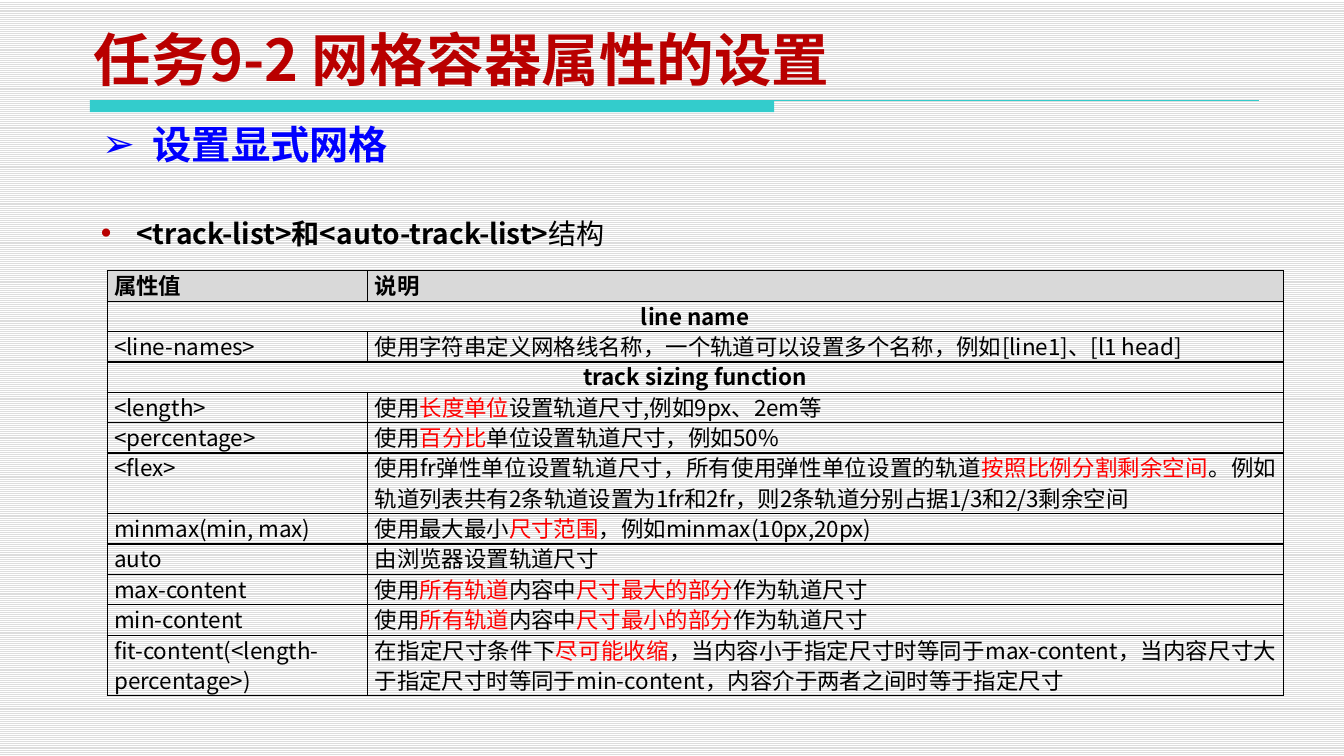
import pptx
import pptx.dml.color
import pptx.enum.dml
import pptx.enum.shapes
import pptx.enum.text
import pptx.oxml.ns
import pptx.util
from lxml import etree

Inches = pptx.util.Inches
Pt = pptx.util.Pt
ALIGN = pptx.enum.text.PP_ALIGN
ANCHOR = pptx.enum.text.MSO_ANCHOR

COLORS = {
    "title": "B90000", "rule": "33CCCC", "heading": "0000FF",
    "body": "000000", "key": "FF0000", "header": "D9D9D9",
    "stripe": "DDDDDD", "paper": "FFFFFF",
}
FONT = "Noto Sans CJK SC"
HEADING_FONT = "DejaVu Sans"
ROW_HEIGHT = 0.3
COLUMN_WIDTHS = (2.58, 9.06)

# Text between bars is highlighted; a row with one entry spans both columns.
PROPERTY_ROWS = [
    ("属性值", "说明"),
    ("line name",),
    ("<line-names>", "使用字符串定义网格线名称，一个轨道可以设置多个名称，例如[line1]、[l1 head]"),
    ("track sizing function",),
    ("<length>", "使用|长度单位|设置轨道尺寸,例如9px、2em等"),
    ("<percentage>", "使用|百分比|单位设置轨道尺寸，例如50%"),
    ("<flex>", "使用fr弹性单位设置轨道尺寸，所有使用弹性单位设置的轨道|按照比例分割剩余空间|"
               "。例如轨道列表共有2条轨道设置为1fr和2fr，则2条轨道分别占据1/3和2/3剩余空间"),
    ("minmax(min, max)", "使用最大最小|尺寸范围|，例如minmax(10px,20px)"),
    ("auto", "由浏览器设置轨道尺寸"),
    ("max-content", "使用|所有轨道|内容中|尺寸最大的部分|作为轨道尺寸"),
    ("min-content", "使用|所有轨道|内容中|尺寸最小的部分|作为轨道尺寸"),
    ("fit-content(<length-percentage>)",
     "在指定尺寸条件下|尽可能收缩|，当内容小于指定尺寸时等同于max-content，"
     "当内容尺寸大于指定尺寸时等同于min-content，内容介于两者之间时等于指定尺寸"),
]
TWO_LINE_ROWS = ("<flex>", "fit-content(<length-percentage>)")


def rgb(name):
    return pptx.dml.color.RGBColor.from_string(COLORS[name])


def add_xml(parent, tag, **attributes):
    return etree.SubElement(parent, pptx.oxml.ns.qn(tag), attributes)


def set_format(target, values):
    for name, value in values.items():
        setattr(target, name, value)


def add_run(paragraph, text, size, color, bold=False, font=FONT):
    run = paragraph.add_run()
    run.text = text
    set_format(run.font, {"size": Pt(size), "bold": bold, "name": font})
    run.font.color.rgb = rgb(color)
    add_xml(run.font._element, "a:ea", typeface=FONT)


def add_text_line(slide, left, top, width, height, anchor=ANCHOR.TOP):
    """Add a text box and return its only paragraph."""
    frame = slide.shapes.add_textbox(
        Inches(left), Inches(top), Inches(width), Inches(height)).text_frame
    set_format(frame, {
        "word_wrap": True, "vertical_anchor": anchor,
        "margin_left": Inches(0.11), "margin_right": Inches(0.11),
        "margin_top": Inches(0.05), "margin_bottom": Inches(0.05),
    })
    return frame.paragraphs[0]


def set_bullet(paragraph, symbol, indent, color):
    properties = paragraph._p.get_or_add_pPr()
    properties.set("marL", str(Inches(indent)))
    properties.set("indent", str(-Inches(indent)))
    add_xml(add_xml(properties, "a:buClr"), "a:srgbClr", val=COLORS[color])
    add_xml(properties, "a:buFont", typeface=HEADING_FONT)
    add_xml(properties, "a:buChar", char=symbol)


def add_title_rule(slide):
    left, top = Inches(0.89), Inches(0.99)
    bar = slide.shapes.add_shape(
        pptx.enum.shapes.MSO_SHAPE.RECTANGLE, left, top, Inches(6.77), Inches(0.12))
    bar.shadow.inherit = False
    bar.fill.solid()
    bar.fill.fore_color.rgb = rgb("rule")
    bar.line.fill.background()
    thin_line = slide.shapes.add_connector(
        pptx.enum.shapes.MSO_CONNECTOR.STRAIGHT, left, top, Inches(12.46), top)
    thin_line.line.color.rgb = rgb("rule")
    thin_line.line.width = Pt(0.75)
    add_xml(thin_line._element.spPr, "a:effectLst")


def add_borders(cell):
    properties = cell._tc.get_or_add_tcPr()
    for side in ("a:lnL", "a:lnR", "a:lnT", "a:lnB"):
        border = add_xml(properties, side, w=str(Pt(1)))
        add_xml(add_xml(border, "a:solidFill"), "a:srgbClr", val=COLORS["body"])


def fill_cell(cell, text, align, bold, header):
    set_format(cell, {
        "margin_left": Inches(0.07), "margin_right": Inches(0.07),
        "margin_top": 0, "margin_bottom": 0,
        "vertical_anchor": ANCHOR.MIDDLE if header else ANCHOR.TOP,
    })
    if header:
        cell.fill.solid()
        cell.fill.fore_color.rgb = rgb("header")
    paragraph = cell.text_frame.paragraphs[0]
    set_format(paragraph, {"alignment": align, "line_spacing": Inches(ROW_HEIGHT)})
    for index, part in enumerate(text.split("|")):
        add_run(paragraph, part, 16, "key" if index % 2 else "body", bold)


def add_property_table(slide):
    heights = [ROW_HEIGHT * (2 if row[0] in TWO_LINE_ROWS else 1) for row in PROPERTY_ROWS]
    table = slide.shapes.add_table(
        len(PROPERTY_ROWS), len(COLUMN_WIDTHS), Inches(1.06), Inches(2.68),
        Inches(sum(COLUMN_WIDTHS)), Inches(sum(heights))).table
    set_format(table, {"first_row": False, "horz_banding": False})
    for column, width in zip(table.columns, COLUMN_WIDTHS):
        column.width = Inches(width)
    for row, height in zip(table.rows, heights):
        row.height = Inches(height)
    for cell in table.iter_cells():
        add_borders(cell)
        cell.fill.background()
    for index, texts in enumerate(PROPERTY_ROWS):
        header, section = index == 0, len(texts) == 1
        if section:
            table.cell(index, 0).merge(table.cell(index, 1))
        align = ALIGN.CENTER if section else ALIGN.JUSTIFY
        for column, text in enumerate(texts):
            fill_cell(table.cell(index, column), text, align, header or section, header)


def set_background(slide):
    fill = slide.background.fill
    fill.patterned()
    fill.pattern = pptx.enum.dml.MSO_PATTERN.LIGHT_HORIZONTAL
    fill.fore_color.rgb = rgb("stripe")
    fill.back_color.rgb = rgb("paper")


def main():
    presentation = pptx.Presentation()
    set_format(presentation, {"slide_width": Inches(13.3), "slide_height": Inches(7.48)})
    slide = presentation.slides.add_slide(presentation.slide_layouts[6])
    set_background(slide)
    add_title_rule(slide)

    title = add_text_line(slide, 0.82, 0.28, 8.03, 0.69, ANCHOR.BOTTOM)
    add_run(title, "任务9-2 网格容器属性的设置", 41, "title", True)

    heading = add_text_line(slide, 0.9, 1.14, 6.68, 0.58)
    heading.alignment = ALIGN.JUSTIFY
    set_bullet(heading, "➢", 0.5, "heading")
    add_run(heading, "设置显式网格", 28, "heading", True, HEADING_FONT)

    structure = add_text_line(slide, 0.86, 1.93, 12.36, 0.7)
    structure.line_spacing = 1.5
    set_bullet(structure, "•", 0.38, "title")
    add_run(structure, "<track-list>和<auto-track-list>", 20, "body", True)
    add_run(structure, "结构", 20, "body")

    add_property_table(slide)
    presentation.save("out.pptx")


if __name__ == "__main__":
    main()
